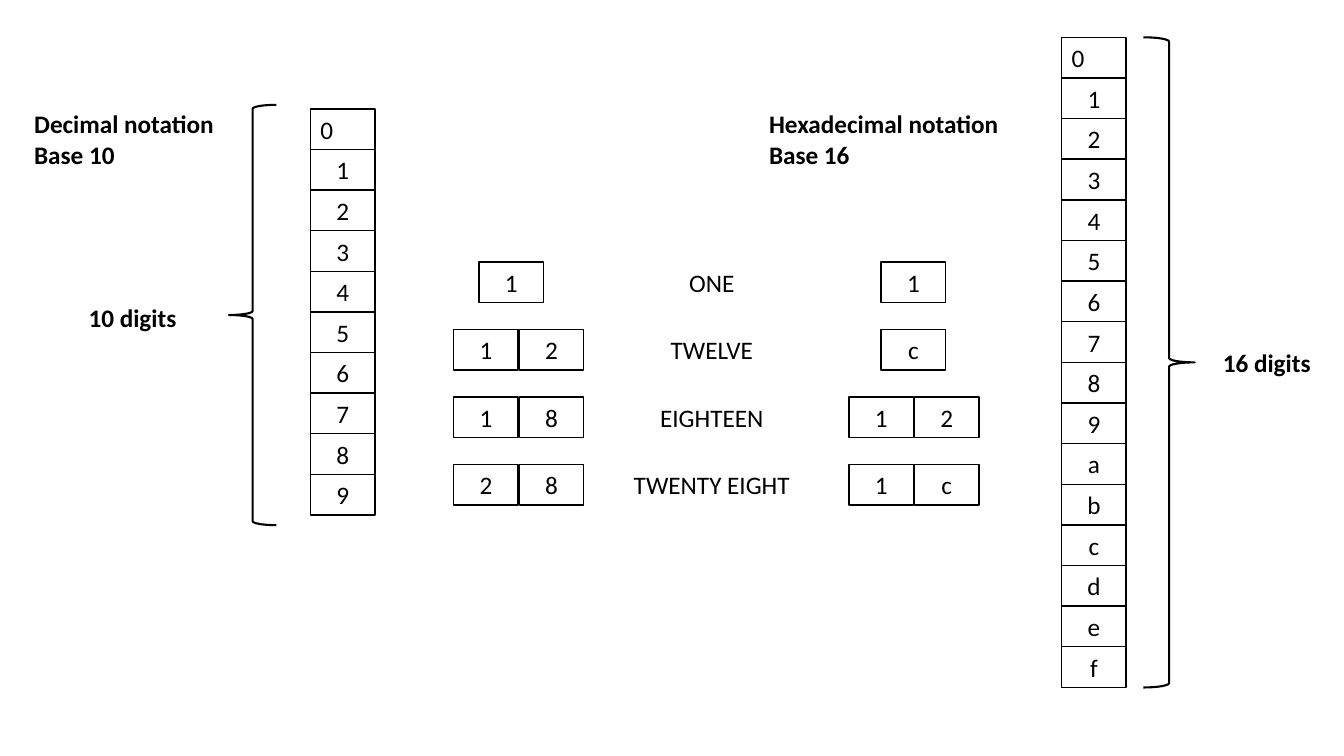
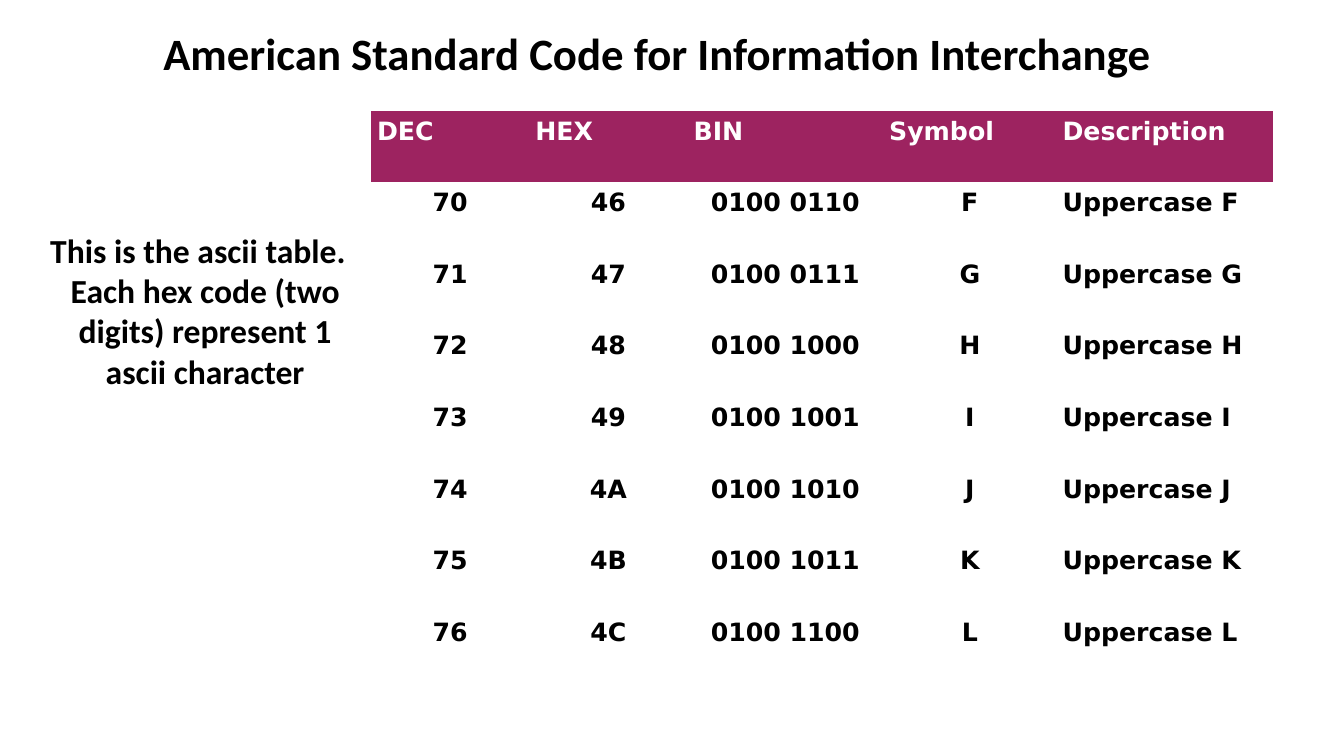
"""Build two slides on decimal and hexadecimal notation and the ASCII table."""
from pptx import Presentation
from pptx.dml.color import RGBColor
from pptx.enum.shapes import MSO_SHAPE
from pptx.enum.text import MSO_ANCHOR, PP_ALIGN
from pptx.oxml.ns import qn
from pptx.util import Emu, Pt

BLACK = RGBColor(0x00, 0x00, 0x00)
WHITE = RGBColor(0xFF, 0xFF, 0xFF)
PLUM = RGBColor(0x9D, 0x23, 0x60)
PX = 9144
PLAIN_TABLE = "{2D5ABB26-0587-4C30-8999-92F81FD0307C}"
LEFT, CENTER = PP_ALIGN.LEFT, PP_ALIGN.CENTER

DIGIT = {"name": "Calibri", "size": Pt(18), "bold": False}
LABEL = DIGIT | {"bold": True}
NOTE = LABEL | {"size": Pt(24)}
TITLE = LABEL | {"size": Pt(32)}
TABLE = LABEL | {"name": "DejaVu Sans"}

NOTATIONS = [
    {
        "heading": ["Decimal notation", "Base 10"], "heading_at": (24, 103, 209, 71),
        "digits": "0123456789", "column": (308, 108, 403),
        "brace_at": (227, 104, 47, 417), "turn": 180,
        "count": "10 digits", "count_at": (78, 295, 112, 40),
        "example_left": {1: 475, 2: 450},
    },
    {
        "heading": ["Hexadecimal notation", "Base 16"], "heading_at": (753, 103, 254, 71),
        "digits": "0123456789abcdef", "column": (1053, 37, 645),
        "brace_at": (1134, 37, 51, 645), "turn": 0,
        "count": "16 digits", "count_at": (1203, 340, 112, 40),
        "example_left": {1: 874, 2: 842},
    },
]
EXAMPLES = [
    ("ONE", "1", "1"),
    ("TWELVE", "12", "c"),
    ("EIGHTEEN", "18", "12"),
    ("TWENTY EIGHT", "28", "1c"),
]
EXAMPLE_TOP, EXAMPLE_PITCH = 260, 67
DIGIT_WIDTH, DIGIT_HEIGHT, DIGIT_PITCH = 64, 40, 65
WORD_LEFT, WORD_WIDTH = 618, 176

ASCII_TITLE = "American Standard Code for Information Interchange"
ASCII_NOTE = [
    "This is the ascii table.",
    "Each hex code (two digits) represent 1 ascii character",
]
ASCII_COLUMNS = [("DEC", 157), ("HEX", 157), ("BIN", 194), ("Symbol", 172), ("Description", 215)]
ASCII_ROWS = [
    ("70", "46", "0100 0110", "F", "Uppercase F"),
    ("71", "47", "0100 0111", "G", "Uppercase G"),
    ("72", "48", "0100 1000", "H", "Uppercase H"),
    ("73", "49", "0100 1001", "I", "Uppercase I"),
    ("74", "4A", "0100 1010", "J", "Uppercase J"),
    ("75", "4B", "0100 1011", "K", "Uppercase K"),
    ("76", "4C", "0100 1100", "L", "Uppercase L"),
]
ASCII_LEFT, ASCII_TOP, ASCII_ROW_HEIGHT, CELL_INSET = 368, 110, 71, 6


def px(*lengths):
    return [Emu(round(length * PX)) for length in lengths]


def write(frame, lines, style, aligns=(LEFT,), color=BLACK):
    frame.word_wrap = True
    for index, line in enumerate(lines):
        paragraph = frame.add_paragraph() if index else frame.paragraphs[0]
        paragraph.alignment = aligns[min(index, len(aligns) - 1)]
        run = paragraph.add_run()
        run.text = line
        run.font.color.rgb = color
        for key, value in style.items():
            setattr(run.font, key, value)


def add_label(slide, at, lines, style, aligns=(LEFT,)):
    write(slide.shapes.add_textbox(*px(*at)).text_frame, lines, style, aligns)


def add_outline(slide, kind, at, weight):
    outline = slide.shapes.add_shape(kind, *px(*at))
    outline.shadow.inherit = False
    outline.line.color.rgb = BLACK
    outline.line.width = Pt(weight)
    return outline


def add_digit(slide, left, top, height, digit, align=CENTER):
    box = add_outline(slide, MSO_SHAPE.RECTANGLE, (left, top, DIGIT_WIDTH, height), 1)
    box.fill.solid()
    box.fill.fore_color.rgb = WHITE
    write(box.text_frame, [digit], DIGIT, (align,))


def add_notation(slide, notation):
    add_label(slide, notation["heading_at"], notation["heading"], LABEL)
    left, top, height = notation["column"]
    step = height / len(notation["digits"])
    for index, digit in enumerate(notation["digits"]):
        add_digit(slide, left, top + index * step, step, digit, CENTER if index else LEFT)
    brace = add_outline(slide, MSO_SHAPE.RIGHT_BRACE, notation["brace_at"], 1.5)
    brace.fill.background()
    brace.rotation = notation["turn"]
    add_label(slide, notation["count_at"], [notation["count"]], LABEL)


def build_notations(deck):
    slide = deck.slides.add_slide(deck.slide_layouts[6])
    for notation in NOTATIONS:
        add_notation(slide, notation)
    for row, (word, *numerals) in enumerate(EXAMPLES):
        top = EXAMPLE_TOP + row * EXAMPLE_PITCH
        add_label(slide, (WORD_LEFT, top, WORD_WIDTH, DIGIT_HEIGHT), [word], DIGIT, (CENTER,))
        for notation, numeral in zip(NOTATIONS, numerals):
            left = notation["example_left"][len(numeral)]
            for place, digit in enumerate(numeral):
                add_digit(slide, left + place * DIGIT_PITCH, top, DIGIT_HEIGHT, digit)


def add_ascii_table(slide):
    names, widths = zip(*ASCII_COLUMNS)
    rows = [names, *ASCII_ROWS]
    frame = slide.shapes.add_table(
        len(rows), len(names),
        *px(ASCII_LEFT, ASCII_TOP, sum(widths), len(rows) * ASCII_ROW_HEIGHT))
    for style_id in frame.element.iter(qn("a:tableStyleId")):
        style_id.text = PLAIN_TABLE
    for column, width in zip(frame.table.columns, px(*widths)):
        column.width = width
    inset, = px(CELL_INSET)
    for r, values in enumerate(rows):
        for c, value in enumerate(values):
            cell = frame.table.cell(r, c)
            for side in ("left", "top", "right", "bottom"):
                setattr(cell, f"margin_{side}", inset)
            cell.fill.solid()
            cell.fill.fore_color.rgb = WHITE if r else PLUM
            centered = r > 0 and c < len(names) - 1
            write(cell.text_frame, [value], TABLE,
                  (CENTER if centered else LEFT,), BLACK if r else WHITE)
            if r == 0:
                cell.text_frame.paragraphs[0].space_before = Pt(7)


def build_ascii(deck):
    slide = deck.slides.add_slide(deck.slide_layouts[5])
    title = slide.shapes.title
    title.left, title.top, title.width, title.height = px(152, 21, 1008, 64)
    title.text_frame.vertical_anchor = MSO_ANCHOR.TOP
    write(title.text_frame, [ASCII_TITLE], TITLE)
    add_ascii_table(slide)
    add_label(slide, (40, 223, 327, 172), ASCII_NOTE, NOTE, (LEFT, CENTER))


def main():
    deck = Presentation()
    deck.slide_width, deck.slide_height = px(1333, 750)
    build_notations(deck)
    build_ascii(deck)
    deck.save("out.pptx")


if __name__ == "__main__":
    main()
